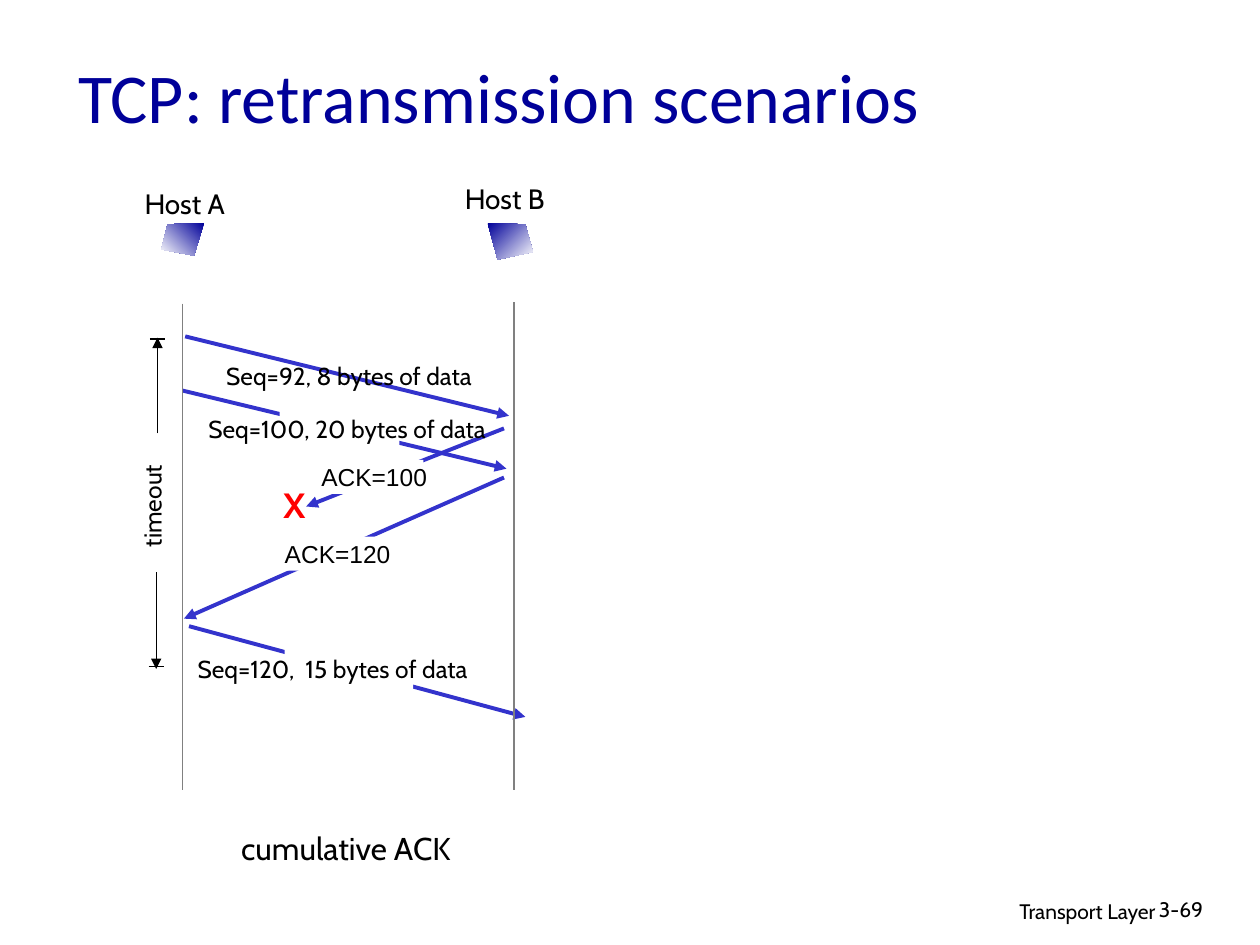
from lxml import etree
from pptx import Presentation
from pptx.dml.color import RGBColor
from pptx.enum import shapes, text
from pptx.oxml import ns
from pptx.util import Inches, Pt

HUES = {"title": "000099", "arrow": "3333CC", "ink": "000000",
        "axis": "808080", "lost": "FF0000", "paper": "FFFFFF"}
RGB = {name: RGBColor.from_string(code) for name, code in HUES.items()}
ALIGN = text.PP_ALIGN

deck = Presentation()
deck.slide_width, deck.slide_height = Inches(10), Inches(7.5)
slide = deck.slides.add_slide(deck.slide_layouts[5])
items = slide.shapes


def label(words, box, size, font="Cabin", hue="ink", align=ALIGN.CENTER, wrap=False):
    shape = items.add_textbox(*map(Inches, box))
    frame = shape.text_frame
    frame.word_wrap = wrap
    frame.text = words
    para = frame.paragraphs[0]
    para.alignment = align
    para.font.name, para.font.size = font, Pt(size)
    para.font.color.rgb = RGB[hue]
    return shape


def line(start, end, hue, width, head=False):
    link = items.add_connector(shapes.MSO_CONNECTOR.STRAIGHT,
                               *map(Inches, (*start, *end)))
    link.line.color.rgb = RGB[hue]
    link.line.width = Pt(width)
    if head:
        etree.SubElement(link.line._get_or_add_ln(), ns.qn("a:tailEnd"), type="triangle")
    etree.SubElement(link._element.spPr, ns.qn("a:effectLst"))


# Title and footer
title = items.title
title.left, title.top, title.width, title.height = map(Inches, (0.52, 0.26, 8.5, 0.99))
title.text_frame.text = "TCP: retransmission scenarios"
title.text_frame.vertical_anchor = text.MSO_ANCHOR.MIDDLE
para = title.text_frame.paragraphs[0]
para.alignment = ALIGN.LEFT
para.font.name, para.font.size = "Calibri", Pt(40)
para.font.color.rgb = RGB["title"]

label("Transport Layer", (6.1, 7.08, 3.17, 0.3), 12, align=ALIGN.RIGHT, wrap=True)
label("3-69", (9.1, 7.07, 0.74, 0.3), 12, align=ALIGN.LEFT, wrap=True)

# Messages: arrow start and end, white gap in the arrow, label, label box, font
messages = [
    ((1.5, 4.97), (4.17, 5.69), (2.26, 5.05, 1.02, 0.56),
     "Seq=120,  15 bytes of data", (1.47, 5.14, 2.34, 0.33), "Cabin"),
    ((1.47, 2.67), (4.04, 3.3), None,
     "Seq=92, 8 bytes of data", (1.63, 2.82, 2.28, 0.33), "Cabin"),
    ((4, 3.4), (2.43, 4.02), (2.54, 3.65, 0.82, 0.27),
     "ACK=100", (2.45, 3.62, 1.04, 0.33), "Arial"),
    ((1.45, 3.1), (4.02, 3.72), (2.22, 3.18, 0.95, 0.44),
     "Seq=100, 20 bytes of data", (1.51, 3.24, 2.49, 0.33), "Cabin"),
    ((4, 3.79), (1.46, 4.91), (2.25, 4.26, 0.82, 0.27),
     "ACK=120", (2.16, 4.23, 1.04, 0.33), "Arial"),
]
for start, end, gap, words, box, font in messages:
    line(start, end, "arrow", 2.25, head=True)
    if gap:
        mask = items.add_shape(shapes.MSO_SHAPE.RECTANGLE, *map(Inches, gap))
        mask.shadow.inherit = False
        mask.fill.solid()
        mask.fill.fore_color.rgb = RGB["paper"]
        mask.line.fill.background()
    label(words, box, 14, font)

lost = label("X", (2.14, 3.79, 0.39, 0.43), 20, hue="lost")
lost.text_frame.paragraphs[0].font.bold = True
label("cumulative ACK", (1.79, 6.53, 1.91, 0.4), 18)

# Hosts: name, label box, time axis, outline, gradient angle
hosts = [
    ("Host A", (1.04, 1.43, 0.85, 0.37), (1.45, 2.41),
     [(1.62, 1.77), (1.33, 1.78), (1.28, 1.98), (1.54, 2.03)], 225),
    ("Host B", (3.58, 1.39, 0.85, 0.37), (4.08, 2.4),
     [(3.87, 1.77), (4.17, 1.78), (4.23, 2), (3.95, 2.06)], 315),
]
for name, box, top, points, angle in hosts:
    label(name, box, 16)
    line(top, (top[0], 6.27), "axis", 0.75)
    first, *rest = [tuple(map(Inches, point)) for point in points]
    pen = items.build_freeform(*first)
    pen.add_line_segments(rest, close=True)
    icon = pen.convert_to_shape()
    icon.shadow.inherit = False
    icon.line.fill.background()
    icon.fill.gradient()
    icon.fill.gradient_angle = angle
    for stop, hue in zip(icon.fill.gradient_stops, ("title", "paper")):
        stop.color.rgb = RGB[hue]

# Timeout span
span = label("timeout", (1.04, 3.64, 0.43, 0.75), 14)
span.text_frame._txBody.bodyPr.set("vert", "vert270")
for x, near, far, tick in ((1.25, 3.44, 2.68, 2.69), (1.24, 4.54, 5.31, 5.29)):
    line((x, near), (x, far), "ink", 0.75, head=True)
    line((x - 0.06, tick), (x + 0.06, tick), "ink", 0.75)

deck.save("out.pptx")
